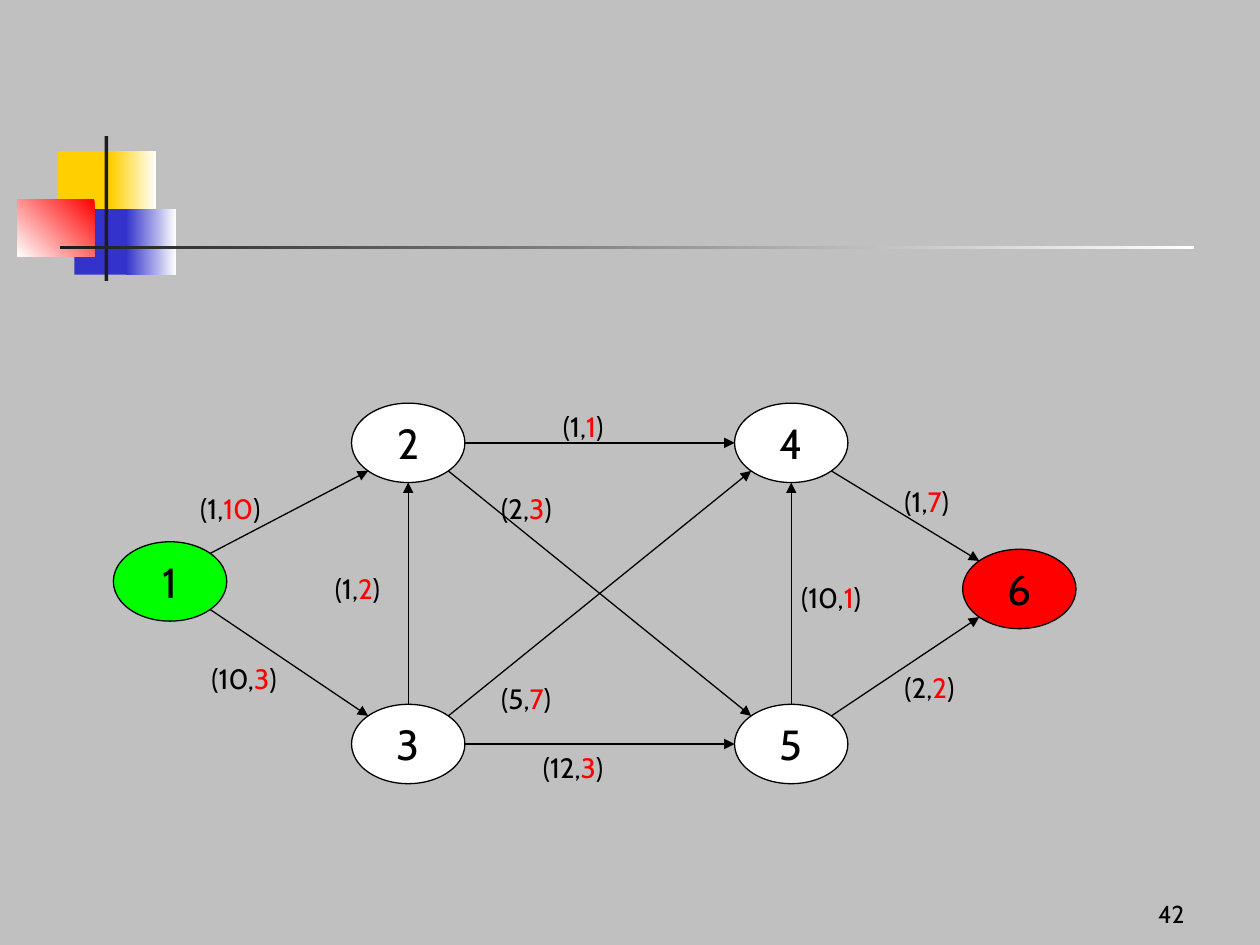
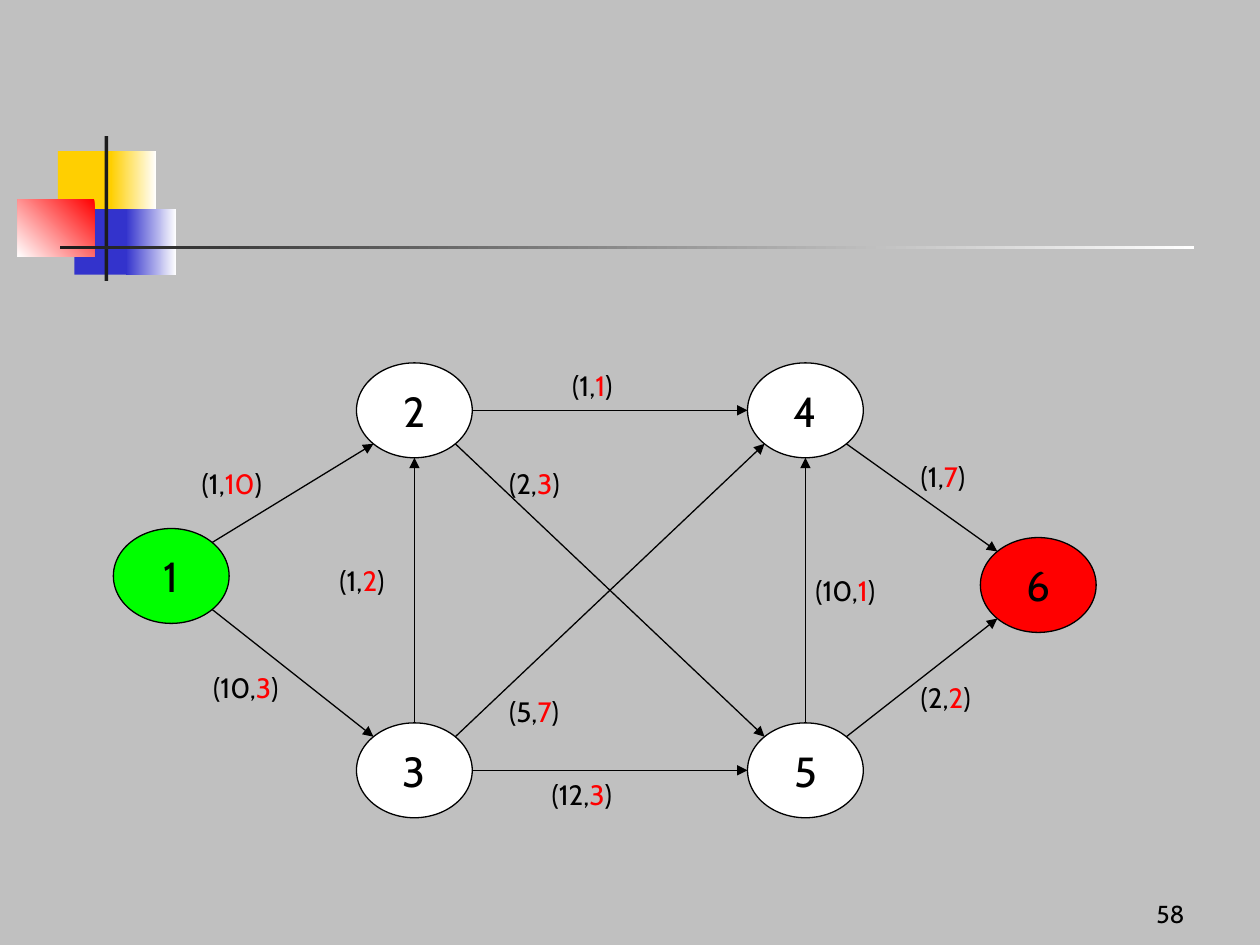
from dataclasses import dataclass
from math import sqrt

from lxml import etree
from pptx import Presentation
from pptx.dml.color import RGBColor
from pptx.enum.shapes import MSO_CONNECTOR, MSO_SHAPE
from pptx.enum.text import MSO_ANCHOR, MSO_AUTO_SIZE, PP_ALIGN
from pptx.oxml.ns import qn
from pptx.util import Emu, Pt

PX = 9144  # 100 px to the inch
WIDE, HIGH = 1000, 750

GRAY = RGBColor(0xC0, 0xC0, 0xC0)
BLACK = RGBColor(0, 0, 0)
DARK = RGBColor(0x1C, 0x1C, 0x1C)
WHITE = RGBColor(255, 255, 255)
RED = RGBColor(255, 0, 0)
GREEN = RGBColor(0, 255, 0)
GOLD = RGBColor(0xFF, 0xCF, 0x01)
BLUE = RGBColor(0x33, 0x33, 0xCC)

FONT = "Cabin"
THIN = Pt(0.75)
RECT, OVAL = MSO_SHAPE.RECTANGLE, MSO_SHAPE.OVAL
STRAIGHT = MSO_CONNECTOR.STRAIGHT
LEFT, MID, RIGHT = PP_ALIGN.LEFT, PP_ALIGN.CENTER, PP_ALIGN.RIGHT
TOP, CENTER, BOTTOM = MSO_ANCHOR.TOP, MSO_ANCHOR.MIDDLE, MSO_ANCHOR.BOTTOM
FIT, FIXED = MSO_AUTO_SIZE.SHAPE_TO_FIT_TEXT, MSO_AUTO_SIZE.NONE


@dataclass(frozen=True)
class Block:
    x: int
    y: int
    w: int
    h: int
    color: RGBColor
    fade: RGBColor | None = None
    angle: int = 180  # counterclockwise


@dataclass(frozen=True)
class Node:
    x: int  # left and top inside the network
    y: int
    color: RGBColor = WHITE


@dataclass(frozen=True)
class Edge:
    start: int
    end: int
    first: int
    second: int
    x: int  # left and top of the label inside the network
    y: int


@dataclass(frozen=True)
class Page:
    number: int
    top: int
    wide: int
    high: int


BLOCKS = [
    Block(46, 120, 48, 52, GOLD),
    Block(88, 120, 36, 52, WHITE, GOLD),
    Block(59, 166, 46, 52, BLUE),
    Block(100, 166, 40, 52, WHITE, BLUE),
    Block(14, 158, 61, 46, RED, WHITE, 225),
    Block(83, 108, 3, 115, DARK),
    Block(48, 195, 900, 3, WHITE, DARK),
]

# The network is laid out on a base frame, which each page stretches.
BASE_W, BASE_H = 764, 302
NODE_W, NODE_H = 90, 63
NET_X = 90
NODES = {
    1: Node(0, 110, GREEN),
    2: Node(189, 0),
    3: Node(189, 239),
    4: Node(493, 0),
    5: Node(493, 239),
    6: Node(674, 116, RED),
}
EDGES = [
    Edge(1, 2, 1, 10, 59, 65),
    Edge(2, 4, 1, 1, 347, 0),
    Edge(2, 5, 2, 3, 298, 65),
    Edge(3, 4, 5, 7, 298, 216),
    Edge(3, 5, 12, 3, 331, 271),
    Edge(1, 3, 10, 3, 68, 200),
    Edge(3, 2, 1, 2, 166, 129),
    Edge(4, 6, 1, 7, 618, 60),
    Edge(5, 6, 2, 2, 618, 207),
    Edge(5, 4, 10, 1, 536, 136),
]
PAGES = [Page(42, 320, 764, 302), Page(58, 288, 780, 361)]


def px(*sizes: float) -> list[Emu]:
    return [Emu(round(size * PX)) for size in sizes]


def write(shape, *runs: tuple[str, RGBColor], size: int, align=LEFT,
          anchor=TOP, wrap=False, fit=FIXED) -> None:
    frame = shape.text_frame
    frame.word_wrap, frame.auto_size = wrap, fit
    frame.vertical_anchor = anchor
    line = frame.paragraphs[0]
    line.alignment = align
    for text, color in runs:
        run = line.add_run()
        run.text = text
        run.font.name, run.font.size = FONT, Pt(size)
        run.font.color.rgb = color


def add_block(slide, block: Block) -> None:
    shape = slide.shapes.add_shape(
        RECT, *px(block.x, block.y, block.w, block.h))
    shape.shadow.inherit = False
    shape.line.fill.background()
    if block.fade is None:
        shape.fill.solid()
        shape.fill.fore_color.rgb = block.color
        return
    shape.fill.gradient()
    shape.fill.gradient_angle = block.angle
    for stop, color in zip(shape.fill.gradient_stops,
                           (block.color, block.fade)):
        stop.color.rgb = color


def add_node(slide, name: int, node: Node, page: Page) -> None:
    shape = slide.shapes.add_shape(
        OVAL, *px(*place(page, node.x, node.y),
                  *stretch(page, NODE_W, NODE_H)))
    shape.shadow.inherit = False
    shape.fill.solid()
    shape.fill.fore_color.rgb = node.color
    shape.line.color.rgb, shape.line.width = BLACK, THIN
    write(shape, (str(name), BLACK), size=24, align=MID, anchor=CENTER)


def stretch(page: Page, x: float, y: float) -> tuple[float, float]:
    return x * page.wide / BASE_W, y * page.high / BASE_H


def place(page: Page, x: float, y: float) -> tuple[float, float]:
    """Turn a point of the base frame into a point on the page."""
    dx, dy = stretch(page, x, y)
    return NET_X + dx, page.top + dy


def sign(value: int) -> int:
    return (value > 0) - (value < 0)


def rim(node: Node, goal: Node) -> tuple[float, float]:
    """Pick which of the eight points on the node's rim faces the goal."""
    dx, dy = sign(goal.x - node.x), sign(goal.y - node.y)
    reach = 1 / sqrt(abs(dx) + abs(dy))
    return (node.x + NODE_W / 2 * (1 + dx * reach),
            node.y + NODE_H / 2 * (1 + dy * reach))


def add_arrow(slide, edge: Edge, page: Page) -> None:
    start, end = NODES[edge.start], NODES[edge.end]
    arrow = slide.shapes.add_connector(
        STRAIGHT, *px(*place(page, *rim(start, end)),
                      *place(page, *rim(end, start))))
    arrow.line.color.rgb, arrow.line.width = BLACK, THIN
    etree.SubElement(arrow.line._get_or_add_ln(), qn("a:tailEnd"),
                     type="triangle")
    etree.SubElement(arrow._element.spPr, qn("a:effectLst"))


def add_label(slide, edge: Edge, page: Page) -> None:
    wide = 77 if max(edge.first, edge.second) > 9 else 64
    box = slide.shapes.add_textbox(
        *px(*place(page, edge.x, edge.y), wide, 37))
    write(box, (f"({edge.first},", BLACK), (str(edge.second), RED),
          (")", BLACK), size=16, fit=FIT)


def add_page(deck, page: Page) -> None:
    slide = deck.slides.add_slide(deck.slide_layouts[6])
    for block in BLOCKS:
        add_block(slide, block)
    for name, node in NODES.items():
        add_node(slide, name, node, page)
    for edge in EDGES:
        add_arrow(slide, edge, page)
    for edge in EDGES:
        add_label(slide, edge, page)
    box = slide.shapes.add_textbox(*px(742, 692, 208, 50))
    write(box, (str(page.number), BLACK), size=14, align=RIGHT,
          anchor=BOTTOM, wrap=True)


def main() -> None:
    deck = Presentation()
    deck.slide_width, deck.slide_height = px(WIDE, HIGH)
    back = deck.slide_master.background.fill
    back.solid()
    back.fore_color.rgb = GRAY
    for page in PAGES:
        add_page(deck, page)
    deck.save("out.pptx")


if __name__ == "__main__":
    main()
